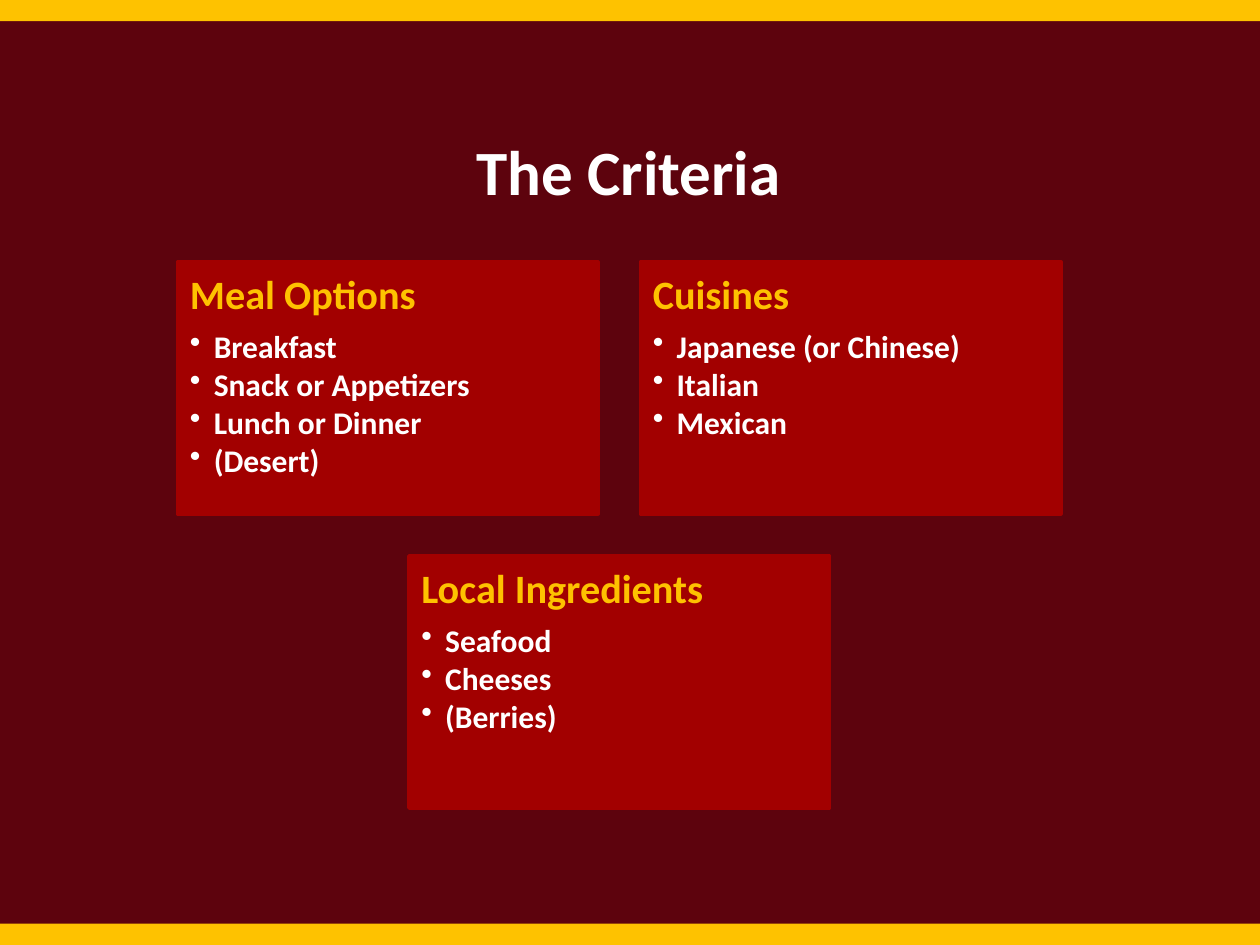
"""Build the slide that lists the menu criteria in three cards."""
from lxml.etree import SubElement
from pptx import Presentation
from pptx.dml.color import RGBColor
from pptx.enum.shapes import MSO_SHAPE as Shape
from pptx.enum.text import MSO_ANCHOR as Anchor, PP_ALIGN as Align
from pptx.oxml.ns import qn
from pptx.util import Cm, Pt


def color(value):
    return RGBColor.from_string(value)


def add_block(left, top, width, height, fill):
    block = page.shapes.add_shape(Shape.RECTANGLE, Cm(left), Cm(top), Cm(width), Cm(height))
    block.shadow.inherit = False
    block.fill.solid()
    block.fill.fore_color.rgb = color(fill)
    block.line.fill.background()
    return block


GOLD, RED, MAROON, WHITE = "FEC200", "A20000", "5D030D", "FFFFFF"
PAGE_WIDTH, PAGE_HEIGHT, BAND_HEIGHT = 25.4, 19.05, 0.43
CARD_LEFT, CARD_TOP, CARD_WIDTH, CARD_HEIGHT, GAP = 3.58, 5.28, 8.48, 5.08, 0.85
INDENT = Cm(0.48)

cards = [
    (0, 0, "Meal Options", ["Breakfast", "Snack or Appetizers", "Lunch or Dinner", "(Desert)"]),
    (1, 0, "Cuisines", ["Japanese (or Chinese)", "Italian", "Mexican"]),
    (0.5, 1, "Local Ingredients", ["Seafood", "Cheeses", "(Berries)"]),
]

deck = Presentation()
deck.slide_width, deck.slide_height = Cm(PAGE_WIDTH), Cm(PAGE_HEIGHT)
page = deck.slides.add_slide(deck.slide_layouts[6])
page.background.fill.solid()
page.background.fill.fore_color.rgb = color(MAROON)

for top in (0, PAGE_HEIGHT - BAND_HEIGHT):
    add_block(0, top, PAGE_WIDTH, BAND_HEIGHT, GOLD)

title = page.shapes.add_textbox(Cm(0.61), Cm(2.54), Cm(24.13), Cm(1.8))
title.text_frame.word_wrap = True
title.text_frame.text = "The Criteria"
para = title.text_frame.paragraphs[0]
para.alignment = Align.CENTER
font = para.runs[0].font
font.name, font.size, font.bold = "Calibri", Pt(36), True
font.color.rgb = color(WHITE)

for column, row, heading, items in cards:
    left = CARD_LEFT + column * (CARD_WIDTH + GAP)
    top = CARD_TOP + row * (CARD_HEIGHT + GAP)
    card = add_block(left, top, CARD_WIDTH, CARD_HEIGHT, RED)
    card.line.color.rgb = color(RED)
    card.line.width = Pt(2)
    frame = card.text_frame
    frame.word_wrap = True
    frame.vertical_anchor = Anchor.TOP
    frame.margin_left = frame.margin_right = Cm(0.25)
    frame.margin_top = frame.margin_bottom = Cm(0.25)
    frame.text = "\n".join([heading, *items])
    for index, para in enumerate(frame.paragraphs):
        is_heading = index == 0
        para.alignment = Align.LEFT
        para.line_spacing = 0.9
        para.space_after = Pt(7.5 if is_heading else 2.3)
        if not is_heading:
            para.level = 1
            properties = para._p.get_or_add_pPr()
            properties.set("marL", str(INDENT))
            properties.set("indent", str(-INDENT))
            SubElement(properties, qn("a:buChar")).set("char", "•")
        font = para.runs[0].font
        font.name, font.bold = "Calibri", True
        font.size = Pt(23 if is_heading else 18)
        font.color.rgb = color(GOLD if is_heading else WHITE)

deck.save("out.pptx")
